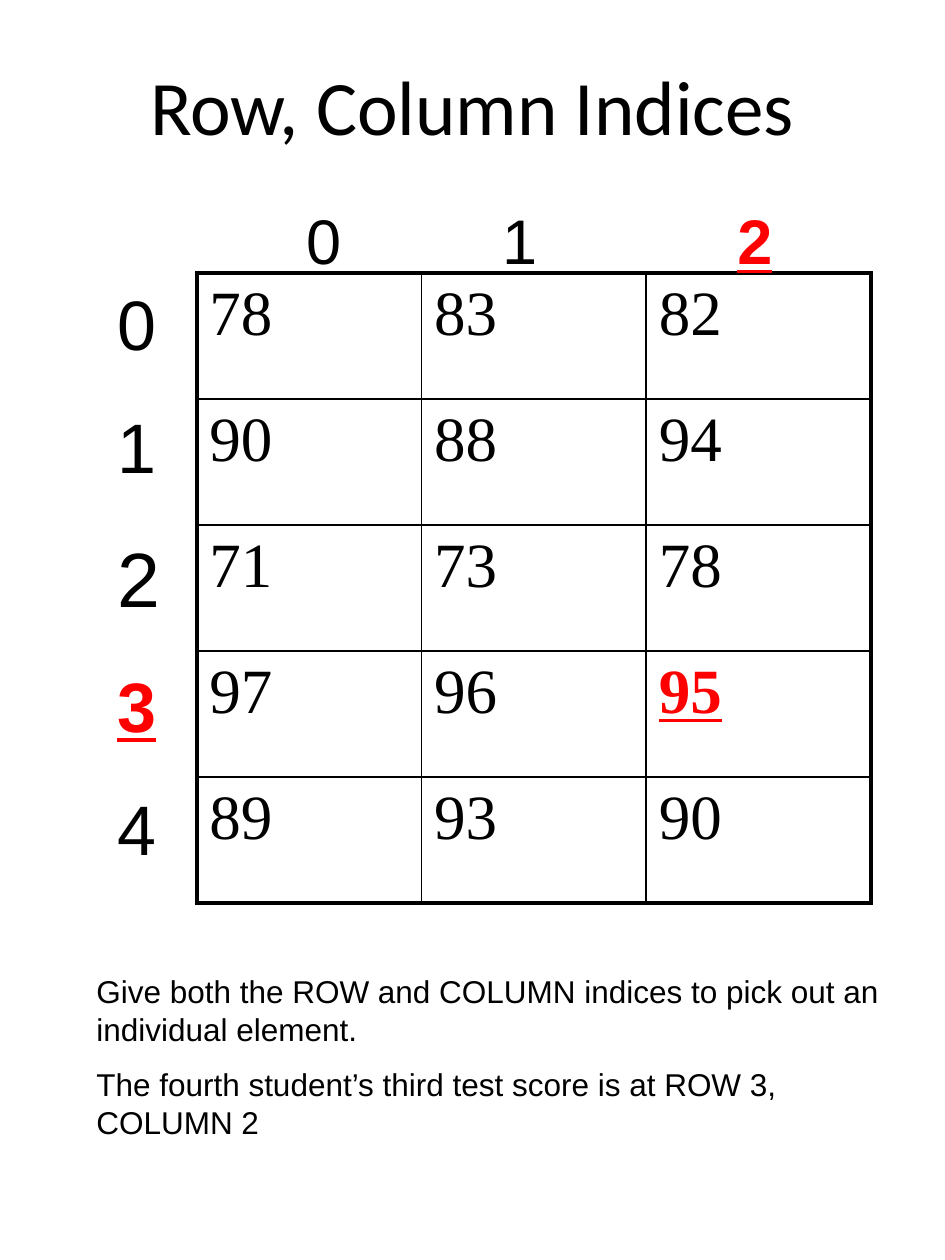
"""Builds a slide that explains row and column indices with a score table."""
import pptx
import pptx.dml.color
import pptx.enum.text
import pptx.oxml
import pptx.oxml.ns
import pptx.util

COLORS = {"ink": "000000", "mark": "FF0000"}
WIDTH, HEIGHT = pptx.util.Inches(7.5), pptx.util.Inches(10)
COLS, ROWS = 90, 120
SCORES = [(78, 83, 82), (90, 88, 94), (71, 73, 78), (97, 96, 95), (89, 93, 90)]
MARK_ROW, MARK_COL = 3, 2
NOTES = [
    "Give both the ROW and COLUMN indices to pick out an individual element.",
    "The fourth student’s third test score is at ROW 3, COLUMN 2",
]


def col(n):
    return round(WIDTH * n / COLS)


def row(n):
    return round(HEIGHT * n / ROWS)


def add_run(p, text, size, font="Arial", marked=False):
    r = p.add_run()
    r.text = text
    r.font.size = pptx.util.Pt(size)
    r.font.name = font
    color = COLORS["mark" if marked else "ink"]
    r.font.color.rgb = pptx.dml.color.RGBColor.from_string(color)
    if marked:
        r.font.bold = r.font.underline = True


def add_box(s, x, y, w, h, top=0.05):
    tf = s.shapes.add_textbox(col(x), row(y), col(w), row(h)).text_frame
    tf.word_wrap = True
    tf.margin_top = pptx.util.Inches(top)
    return tf


def add_lines(tf, lines, sizes, marked=None):
    for i, (text, size) in enumerate(zip(lines, sizes)):
        p = tf.add_paragraph() if i else tf.paragraphs[0]
        if i:
            p.space_before = pptx.util.Pt(round(size * 0.56, 1))
        add_run(p, text, size, marked=i == marked)


def add_title(s, text):
    tf = add_box(s, 6.75, 0, 76.5, 20)
    tf.vertical_anchor = pptx.enum.text.MSO_ANCHOR.MIDDLE
    p = tf.paragraphs[0]
    p.alignment = pptx.enum.text.PP_ALIGN.CENTER
    add_run(p, text, 44, "Calibri")


def add_column_heads(s):
    p = add_box(s, 28, 18, 48, 8.4, top=0.1).paragraphs[0]
    ns = pptx.oxml.ns.nsdecls("a")
    stops = "".join(f'<a:tab pos="{pptx.util.Inches(n)}" algn="l"/>' for n in (1.56, 3.42))
    p._p.get_or_add_pPr().append(pptx.oxml.parse_xml(f"<a:tabLst {ns}>{stops}</a:tabLst>"))
    add_run(p, "0\t1\t", 36)
    add_run(p, str(MARK_COL), 36, marked=True)


def set_borders(cell, widths):
    tc_pr = cell._tc.get_or_add_tcPr()
    ns = pptx.oxml.ns.nsdecls("a")
    for i, (side, width) in enumerate(zip("LRTB", widths)):
        tc_pr.insert(i, pptx.oxml.parse_xml(
            f'<a:ln{side} {ns} w="{pptx.util.Pt(width)}"><a:solidFill>'
            f'<a:srgbClr val="{COLORS["ink"]}"/></a:solidFill></a:ln{side}>'))


def add_scores(s, x, y, w, h):
    n_rows, n_cols = len(SCORES), len(SCORES[0])
    table = s.shapes.add_table(n_rows, n_cols, col(x), row(y), col(w), row(h)).table
    table.first_row = table.horz_banding = False
    for i, scores in enumerate(SCORES):
        for j, score in enumerate(scores):
            cell = table.cell(i, j)
            cell.fill.background()
            outer = (j == 0, j == n_cols - 1, i == 0, i == n_rows - 1)
            set_borders(cell, [2.25 if edge else 1 for edge in outer])
            add_run(cell.text_frame.paragraphs[0], str(score), 36, "Times New Roman",
                    marked=(i, j) == (MARK_ROW, MARK_COL))


def main():
    prs = pptx.Presentation()
    prs.slide_width, prs.slide_height = WIDTH, HEIGHT
    s = prs.slides.add_slide(prs.slide_layouts[6])
    add_title(s, "Row, Column Indices")
    add_scores(s, 18.75, 26, 64.2, 60)
    add_lines(add_box(s, 8, 92, 77, 22.8), NOTES, [18, 18])
    add_lines(add_box(s, 10, 25.5, 7, 58.5, top=0.1), "01234", [40, 40, 44, 40, 40], MARK_ROW)
    add_column_heads(s)
    prs.save("out.pptx")


main()
